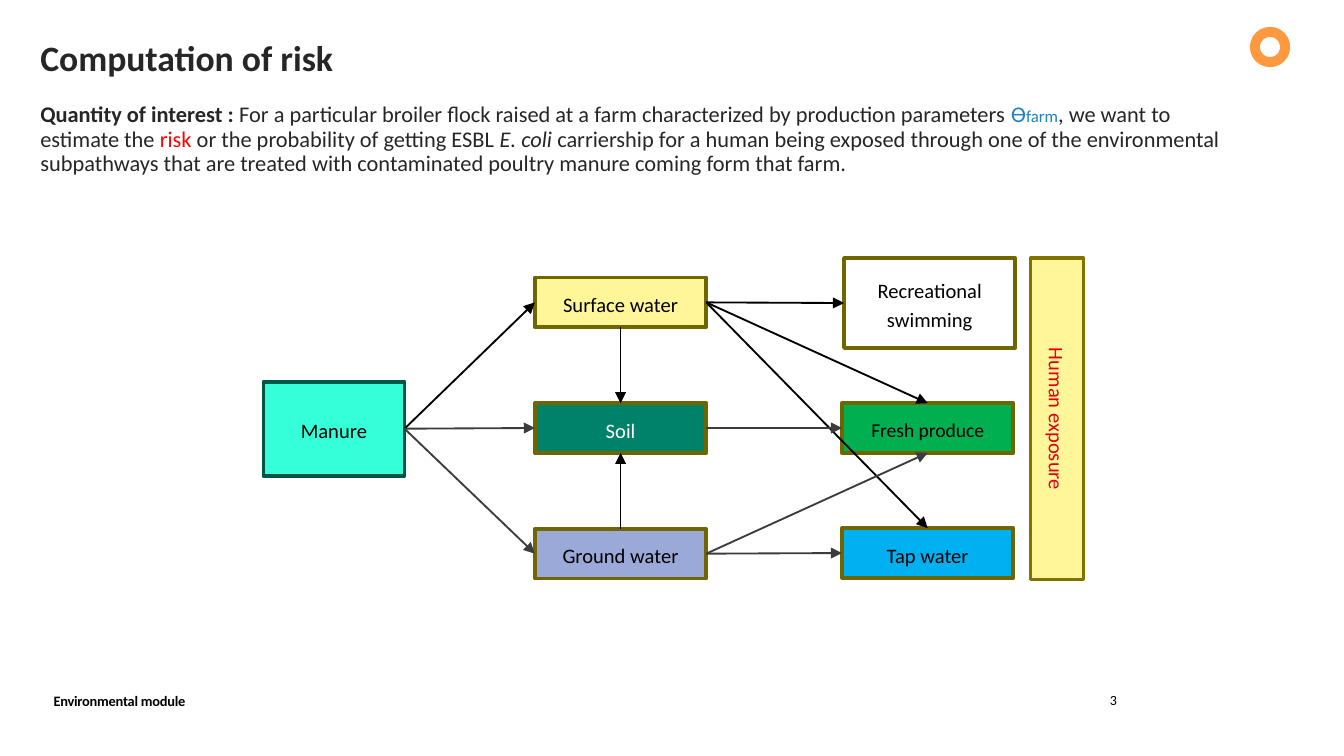
from dataclasses import dataclass

from lxml import etree
from pptx import Presentation
from pptx.dml.color import RGBColor
from pptx.enum.shapes import MSO_CONNECTOR, MSO_SHAPE
from pptx.enum.text import MSO_ANCHOR, MSO_AUTO_SIZE, PP_ALIGN
from pptx.oxml.ns import qn
from pptx.util import Emu, Pt

EMU_PER_PX = 4572  # 200 px to the inch
LEFT, CENTER, RIGHT = PP_ALIGN.LEFT, PP_ALIGN.CENTER, PP_ALIGN.RIGHT
TOP_ANCHOR, MIDDLE, BOTTOM_ANCHOR = MSO_ANCHOR.TOP, MSO_ANCHOR.MIDDLE, MSO_ANCHOR.BOTTOM
NO_AUTOFIT = MSO_AUTO_SIZE.NONE
RECTANGLE, RING = MSO_SHAPE.RECTANGLE, MSO_SHAPE.DONUT
STRAIGHT = MSO_CONNECTOR.STRAIGHT
TOP, LEFT_SIDE, BOTTOM, RIGHT_SIDE = range(4)


@dataclass(frozen=True)
class Theme:
    font: str = "Calibri"
    text: str = "262626"
    black: str = "000000"
    white: str = "FFFFFF"
    gray: str = "3C3C3C"
    parameter: str = "2082C8"
    risk: str = "FF0000"
    exposure: str = "E1000F"
    emblem: str = "FF9940"
    manure: str = "34FFD9"
    manure_line: str = "005646"
    yellow: str = "FFF699"
    ground: str = "9AA9D8"
    soil: str = "008169"
    produce: str = "00B050"
    tap: str = "00B0F0"
    olive: str = "706600"
    exposure_line: str = "807400"
    title_size: float = 19.1
    body_size: float = 12
    subscript_size: float = 9
    label_size: float = 11
    small_label_size: float = 10.5
    footer_size: float = 7.7
    number_size: float = 7.5


THEME = Theme()

# name: (left, top, width, height, fill, line, text colour, text size)
BOX_WIDTH, BOX_HEIGHT = 255, 74
SOURCE_LEFT, TARGET_LEFT = 796, 1253
BOXES = {
    "Manure": (392, 568, 210, 140, THEME.manure, THEME.manure_line, THEME.black, THEME.label_size),
    "Recreational swimming": (1256, 384, BOX_WIDTH, 134, THEME.white, THEME.olive,
                              THEME.black, THEME.label_size),
} | {
    name: (left, top, BOX_WIDTH, BOX_HEIGHT, fill, THEME.olive, color, size)
    for name, left, top, fill, color, size in (
        ("Surface water", SOURCE_LEFT, 413, THEME.yellow, THEME.black, THEME.label_size),
        ("Soil", SOURCE_LEFT, 600, THEME.soil, THEME.white, THEME.label_size),
        ("Ground water", SOURCE_LEFT, 787, THEME.ground, THEME.black, THEME.label_size),
        ("Fresh produce", TARGET_LEFT, 600, THEME.produce, THEME.black, THEME.small_label_size),
        ("Tap water", TARGET_LEFT, 786, THEME.tap, THEME.black, THEME.label_size),
    )
}

# start box, side, end box, side, colour, width
ARROWS = (
    ("Manure", RIGHT_SIDE, "Surface water", LEFT_SIDE, THEME.black, 1),
    ("Manure", RIGHT_SIDE, "Soil", LEFT_SIDE, THEME.gray, 1),
    ("Manure", RIGHT_SIDE, "Ground water", LEFT_SIDE, THEME.gray, 1),
    ("Surface water", RIGHT_SIDE, "Recreational swimming", LEFT_SIDE, THEME.black, 1),
    ("Surface water", RIGHT_SIDE, "Fresh produce", TOP, THEME.black, 1),
    ("Surface water", RIGHT_SIDE, "Tap water", TOP, THEME.black, 1),
    ("Surface water", BOTTOM, "Soil", TOP, THEME.black, 0.75),
    ("Soil", RIGHT_SIDE, "Fresh produce", LEFT_SIDE, THEME.gray, 1),
    ("Ground water", TOP, "Soil", BOTTOM, THEME.black, 1),
    ("Ground water", RIGHT_SIDE, "Fresh produce", BOTTOM, THEME.gray, 1),
    ("Ground water", RIGHT_SIDE, "Tap water", LEFT_SIDE, THEME.gray, 1),
)

# text, colour, size, bold, italic
QUANTITY_SPANS = (
    ("Quantity of interest : ", THEME.text, THEME.body_size, True, False),
    ("For a particular broiler flock raised at a farm characterized by production parameters ",
     THEME.text, THEME.body_size, False, False),
    ("Ɵ", THEME.parameter, THEME.body_size, False, False),
    ("farm", THEME.parameter, THEME.subscript_size, False, False),
    (", we want to estimate the ", THEME.text, THEME.body_size, False, False),
    ("risk", THEME.risk, THEME.body_size, False, False),
    (" or the probability of getting ESBL ", THEME.text, THEME.body_size, False, False),
    ("E. coli ", THEME.text, THEME.body_size, False, True),
    ("carriership for a human being exposed through one of the environmental subpathways "
     "that are treated with contaminated poultry manure coming form that farm.",
     THEME.text, THEME.body_size, False, False),
)


def px(length):
    return Emu(length * EMU_PER_PX)


def rgb(color):
    return RGBColor.from_string(color)


def format_span(span, color, size, bold=False, italic=False):
    font = span.font
    font.name, font.size = THEME.font, Pt(size)
    font.bold, font.italic = bold, italic
    font.color.rgb = rgb(color)


def set_text(shape, text, color, size, bold=False, align=CENTER, anchor=MIDDLE, spacing=None):
    frame = shape.text_frame
    frame.word_wrap = True
    frame.vertical_anchor = anchor
    frame.text = text
    para = frame.paragraphs[0]
    para.alignment, para.line_spacing = align, spacing
    format_span(para.runs[0], color, size, bold)


def place_placeholder(placeholder, left, top, width, height):
    """Move a placeholder and strip its margins and automatic fitting."""
    placeholder.left, placeholder.top = px(left), px(top)
    placeholder.width, placeholder.height = px(width), px(height)
    frame = placeholder.text_frame
    frame.auto_size = NO_AUTOFIT
    frame.margin_left = frame.margin_right = frame.margin_top = frame.margin_bottom = 0


def fill_body(body):
    """Write the quantity of interest as one unbulleted paragraph of mixed spans."""
    body.text_frame.vertical_anchor = TOP_ANCHOR
    para = body.text_frame.paragraphs[0]
    para.alignment, para.line_spacing, para.space_before = LEFT, 0.9, Pt(0)
    properties = para._p.get_or_add_pPr()
    properties.set("marL", "0")
    properties.set("indent", "0")
    etree.SubElement(properties, qn("a:buNone"))
    for text, *style in QUANTITY_SPANS:
        span = para.add_run()
        span.text = text
        format_span(span, *style)


def add_shape(page, preset, left, top, width, height, fill, line=None):
    shape = page.shapes.add_shape(preset, px(left), px(top), px(width), px(height))
    shape.shadow.inherit = False
    shape.fill.solid()
    shape.fill.fore_color.rgb = rgb(fill)
    if line:
        shape.line.color.rgb = rgb(line)
        shape.line.width = Pt(2)
    else:
        shape.line.fill.background()
    return shape


def add_box(page, name, left, top, width, height, fill, line, color, size):
    box = add_shape(page, RECTANGLE, left, top, width, height, fill, line)
    set_text(box, name, color, size, spacing=1.15)
    return box


def add_arrow(page, start, start_side, end, end_side, color, width):
    arrow = page.shapes.add_connector(STRAIGHT, 0, 0, 0, 0)
    arrow.begin_connect(start, start_side)
    arrow.end_connect(end, end_side)
    arrow.line.color.rgb = rgb(color)
    arrow.line.width = Pt(width)
    etree.SubElement(arrow.line._get_or_add_ln(), qn("a:tailEnd"), type="triangle")
    etree.SubElement(arrow._element.spPr, qn("a:effectLst"))


def add_label(page, left, top, width, height, text, size, **style):
    label = page.shapes.add_textbox(px(left), px(top), px(width), px(height))
    set_text(label, text, THEME.black, size, **style)
    return label


def main():
    deck = Presentation()
    deck.slide_width, deck.slide_height = px(2000), px(1125)
    page = deck.slides.add_slide(deck.slide_layouts[1])
    title, body = page.placeholders

    place_placeholder(title, 60, 60, 1784, 140)
    set_text(title, "Computation of risk", THEME.text, THEME.title_size, bold=True,
             align=LEFT, anchor=TOP_ANCHOR, spacing=0.9)
    place_placeholder(body, 60, 154, 1784, 140)
    fill_body(body)

    add_shape(page, RING, 1860, 40, 60, 60, THEME.emblem)
    boxes = {name: add_box(page, name, *style) for name, style in BOXES.items()}
    for start, start_side, end, end_side, color, width in ARROWS:
        add_arrow(page, boxes[start], start_side, boxes[end], end_side, color, width)

    exposure = add_shape(page, RECTANGLE, 1334, 584, 478, 79, THEME.yellow, THEME.exposure_line)
    exposure.rotation = 90
    set_text(exposure, "Human exposure", THEME.exposure, THEME.label_size)

    footer = add_label(page, 60, 1020, 676, 46, "Environmental module", THEME.footer_size,
                       bold=True, align=LEFT, anchor=BOTTOM_ANCHOR)
    footer.text_frame.paragraphs[0].runs[0]._r.get_or_add_rPr().set("spc", "-10")
    add_label(page, 1386, 1020, 296, 46, "3", THEME.number_size, align=RIGHT, anchor=TOP_ANCHOR)
    deck.save("out.pptx")


if __name__ == "__main__":
    main()
